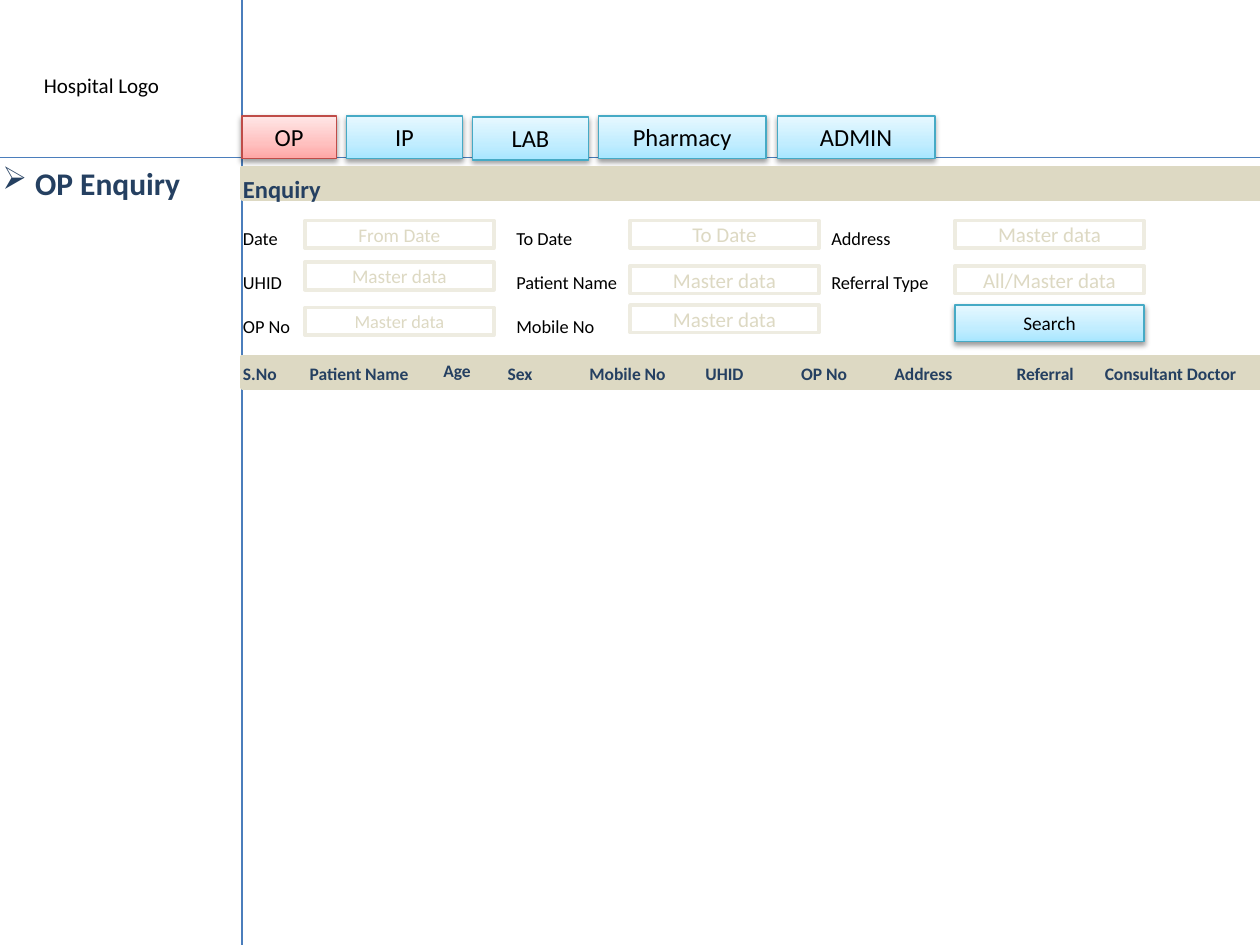
from copy import deepcopy

from pptx import Presentation
from pptx.dml.color import RGBColor as RGB
from pptx.enum.shapes import MSO_CONNECTOR as Conn, MSO_SHAPE as Geom
from pptx.enum.text import MSO_ANCHOR as Anchor, MSO_AUTO_SIZE as Fit, PP_ALIGN as Align
from pptx.oxml import parse_xml
from pptx.oxml.ns import nsdecls, qn
from pptx.util import Inches, Pt

BLACK = RGB(0x00, 0x00, 0x00)
WHITE = RGB(0xFF, 0xFF, 0xFF)
NAVY = RGB(0x25, 0x40, 0x61)
RULE = RGB(0x4B, 0x7E, 0xBC)
SAND = RGB(0xDD, 0xD9, 0xC3)
CREAM = RGB(0xEE, 0xEC, 0xE1)
TEAL = RGB(0x46, 0xAA, 0xC5)
RED = RGB(0xBF, 0x4C, 0x48)
BLUES = (RGB(0xA7, 0xE6, 0xFF), RGB(0xC1, 0xED, 0xFF), RGB(0xE7, 0xF8, 0xFF))
PINKS = (RGB(0xFF, 0xA6, 0xA5), RGB(0xFF, 0xC0, 0xBF), RGB(0xFF, 0xE7, 0xE7))
STOPS = (0, 0.35, 1)

TABS = [
    ("OP", 1.92, 0.92, 0.75),
    ("IP", 2.75, 0.92, 0.92),
    ("LAB", 3.75, 0.93, 0.92),
    ("Pharmacy", 4.75, 0.92, 1.33),
    ("ADMIN", 6.17, 0.92, 1.25),
]
LABELS = [
    (1.83, 0.58, 1.16, "Date\nUHID\nOP No"),
    (4, 1.02, 1.16, "To Date\nPatient Name\nMobile No"),
    (6.5, 1.04, 0.81, "Address\nReferral Type"),
]
FIELDS = [
    [("From Date", 1.75, 11), ("Master data", 2.08, 11), ("Master data", 2.44, 10.5)],
    [("To Date", 1.75, 12), ("Master data", 2.11, 12), ("Master data", 2.42, 12)],
    [("Master data", 1.75, 12), ("All/Master data", 2.11, 12)],
]
HEADS = [
    ("S.No", 1.83, 2.83, 0.47),
    ("Patient Name", 2.36, 2.83, 1),
    ("Age", 3.42, 2.81, 0.42),
    ("Sex", 3.93, 2.83, 0.4),
    ("Mobile No", 4.58, 2.83, 0.82),
    ("UHID", 5.5, 2.83, 0.51),
    ("OP No", 6.26, 2.83, 0.57),
    ("Address", 7, 2.83, 0.67),
    ("Referral", 7.97, 2.83, 0.7),
    ("Consultant Doctor", 8.67, 2.83, 1.26),
]


def write(shape, text, size=10, color=BLACK, bold=False, align=Align.LEFT,
          anchor=Anchor.TOP, wrap=False, fit=Fit.SHAPE_TO_FIT_TEXT,
          space=None, bullet=None, hang=0):
    """Put formatted text into a shape, one paragraph per line."""
    frame = shape.text_frame
    frame.text = text
    frame.word_wrap = wrap
    frame.auto_size = fit
    frame.vertical_anchor = anchor
    for para in frame.paragraphs:
        para.alignment = align
        if space:
            para.line_spacing = space
        if bullet:
            props = para._p.get_or_add_pPr()
            props.set("marL", str(Inches(hang)))
            props.set("indent", str(-Inches(hang)))
            props.append(parse_xml(f'<a:buChar {nsdecls("a")} char="{bullet}"/>'))
        for run in para.runs:
            font = run.font
            font.name = "Calibri"
            font.size = Pt(size)
            font.bold = bold
            font.color.rgb = color


def label(slide, text, left, top, width, height, **style):
    """Add a text box."""
    box = slide.shapes.add_textbox(Inches(left), Inches(top), Inches(width), Inches(height))
    write(box, text, **style)


def rect(slide, left, top, width, height, fill, line, weight=2):
    """Add a rectangle without a shadow."""
    shape = slide.shapes.add_shape(
        Geom.RECTANGLE, Inches(left), Inches(top), Inches(width), Inches(height))
    shape.fill.solid()
    shape.fill.fore_color.rgb = fill
    shape.line.color.rgb = line
    shape.line.width = Pt(weight)
    shape.shadow.inherit = False
    return shape


def button(slide, text, left, top, width, height, size, shades=BLUES, edge=TEAL):
    """Add a shaded button with a soft shadow."""
    shape = rect(slide, left, top, width, height, WHITE, edge, 0.75)
    fill = shape.fill
    fill.gradient()
    fill.gradient_angle = 90
    props = shape._element.spPr
    stops = props.find(qn("a:gradFill")).find(qn("a:gsLst"))
    stops.append(deepcopy(stops[-1]))
    for stop, shade, place in zip(fill.gradient_stops, shades, STOPS):
        stop.color.rgb = shade
        stop.position = place
    props.find(qn("a:effectLst")).append(parse_xml(
        f'<a:outerShdw {nsdecls("a")} blurRad="{Pt(3.1)}" dist="{Pt(1.6)}" dir="5400000" '
        'rotWithShape="0"><a:srgbClr val="000000"><a:alpha val="38000"/></a:srgbClr>'
        '</a:outerShdw>'))
    write(shape, text, size=size, align=Align.CENTER, wrap=True)


def field(slide, text, left, top, size):
    """Add an input field with its hint."""
    shape = rect(slide, left, top, 1.5, 0.22, WHITE, CREAM)
    write(shape, text, size=size, color=SAND, align=Align.CENTER,
          anchor=Anchor.MIDDLE, wrap=True, fit=Fit.NONE)


def rule(slide, *ends):
    """Add a thin straight line."""
    line = slide.shapes.add_connector(Conn.STRAIGHT, *map(Inches, ends))
    line.line.color.rgb = RULE
    line.line.width = Pt(0.75)
    line._element.spPr.append(parse_xml(f'<a:effectLst {nsdecls("a")}/>'))


def main():
    """Build the enquiry screen."""
    deck = Presentation()
    deck.slide_width, deck.slide_height = Inches(10), Inches(7.5)
    slide = deck.slides.add_slide(deck.slide_layouts[6])

    rule(slide, 0, 1.25, 10, 1.25)
    rule(slide, 1.92, 0, 1.92, 7.5)
    label(slide, "Hospital Logo", 0.25, 0.53, 1.13, 0.3, size=12)
    for text, left, top, width in TABS:
        look = (PINKS, RED) if text == "OP" else (BLUES, TEAL)
        button(slide, text, left, top, width, 0.34, 14, *look)

    label(slide, "OP Enquiry", -0.08, 1.25, 1.62, 0.4, size=18, color=NAVY,
          bold=True, bullet="➢", hang=0.26)
    for top in (1.33, 2.83):
        rect(slide, 1.92, top, 8.08, 0.25, SAND, SAND)
    label(slide, "Enquiry", 1.83, 1.33, 0.83, 0.34, size=14, color=NAVY, bold=True)

    for left, width, height, text in LABELS:
        label(slide, text, left, 1.58, width, height, size=10.5, space=2.0)
    for col, items in enumerate(FIELDS):
        for text, top, size in items:
            field(slide, text, 2.42 + 2.58 * col, top, size)
    button(slide, "Search", 7.58, 2.42, 1.5, 0.29, 11)

    for text, left, top, width in HEADS:
        label(slide, text, left, top, width, 0.27, color=NAVY, bold=True)
    deck.save("out.pptx")


if __name__ == "__main__":
    main()
